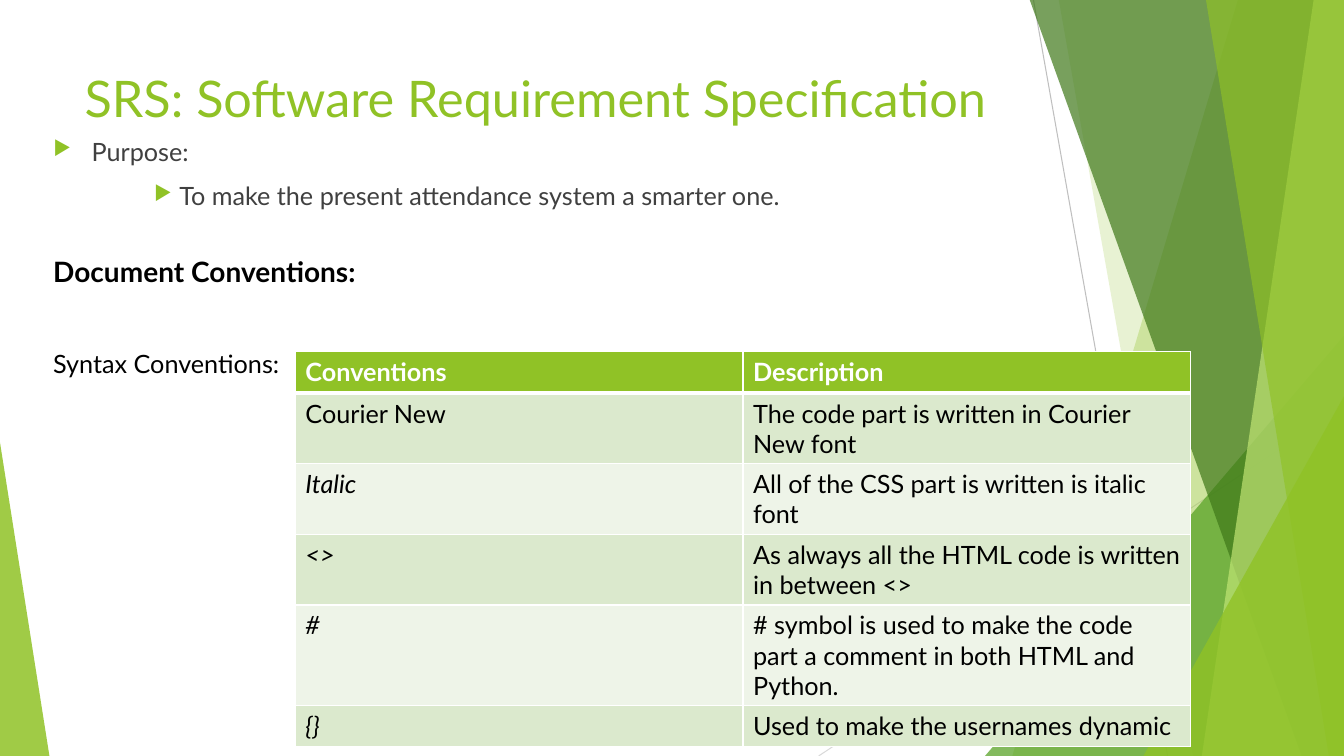
from lxml import etree
from pptx import Presentation
from pptx import util as u
from pptx.dml.color import RGBColor
from pptx.enum import shapes, text
from pptx.oxml.ns import qn

PX = 9144  # EMU per px, 100 px to the inch
WIDTH, HEIGHT = 1333, 750
FONT = "Lato"
GREEN, BLACK, WHITE, GREY = "90C226", "000000", "FFFFFF", "404040"
BANDS = ("DBE9CD", "EEF4E8")

# from x, from y, to x, to y, colour
THIN_LINES = [
    (1025, 0, 1158, 750, "BFBFBF"),
    (1333, 403, 812, 750, "D9D9D9"),
]
# Slanted panels reach the right edge: (top x, bottom x, colour, opacity %)
# Corner triangles: (left, top, width, apex 0 left / 1 right, colour, opacity %)
DECORATION = [
    ("panel", 1228, 1004, GREEN, 30),
    ("panel", 1050, 1183, GREEN, 20),
    ("triangle", 977, 333, 356, 1, "54A021", 72),
    ("panel", 1021, 1291, "3F7819", 70),
    ("panel", 1303, 1192, "C0E474", 70),
    ("panel", 1196, 1318, GREEN, 65),
    ("triangle", 1134, 393, 199, 1, GREEN, 80),
    ("triangle", 0, 439, 49, 0, GREEN, 85),
]

TITLE = "SRS: Software Requirement Specification"
# text, left margin px, hanging indent px
PURPOSE = [
    ("Purpose:", 38, 38),
    ("To make the present attendance system a smarter one.", 125, 25),
]
HEADINGS = ("Document Conventions:", "Syntax Conventions:")

TABLE_LEFT, TABLE_TOP, COLUMN_WIDTH = 293, 349, 444
# row height px, convention, description
CONVENTIONS = [
    (41, "Conventions", "Description"),
    (70, "Courier New", "The code part is written in Courier New font"),
    (70, "Italic", "All of the CSS part is written is italic font"),
    (70, "<>", "As always all the HTML code is written in between <>"),
    (100, "#", "# symbol is used to make the code part a comment in both HTML and Python."),
    (40, "{}", "Used to make the usernames dynamic"),
]


def px(*lengths):
    return [u.Emu(length * PX) for length in lengths]


def rgb(colour):
    return RGBColor.from_string(colour)


def paint(shape, colour, opacity):
    shape.shadow.inherit = False
    shape.line.fill.background()
    shape.fill.solid()
    shape.fill.fore_color.rgb = rgb(colour)
    colour_xml = shape._element.spPr.find(qn("a:solidFill"))[0]
    etree.SubElement(colour_xml, qn("a:alpha"), val=str(opacity * 1000))


def add_panel(slide, top_x, bottom_x, colour, opacity):
    builder = slide.shapes.build_freeform(top_x, -1, scale=PX)
    builder.add_line_segments(
        [(WIDTH, -1), (WIDTH, HEIGHT), (bottom_x, HEIGHT)], close=True)
    paint(builder.convert_to_shape(), colour, opacity)


def add_triangle(slide, left, top, width, apex, colour, opacity):
    triangle = slide.shapes.add_shape(
        shapes.MSO_SHAPE.ISOSCELES_TRIANGLE, *px(left, top, width, HEIGHT - top))
    triangle.adjustments[0] = apex
    paint(triangle, colour, opacity)


def add_thin_line(slide, x1, y1, x2, y2, colour):
    line = slide.shapes.add_connector(
        shapes.MSO_CONNECTOR.STRAIGHT, *px(x1, y1, x2, y2))
    line.line.color.rgb = rgb(colour)
    line.line.width = u.Pt(0.75)
    etree.SubElement(line._element.spPr, qn("a:effectLst"))


def add_frame(slide, left, top, width, height):
    frame = slide.shapes.add_textbox(*px(left, top, width, height)).text_frame
    frame.word_wrap = True
    frame.vertical_anchor = text.MSO_ANCHOR.TOP
    return frame


def write(paragraph, words, size=18, colour=BLACK, bold=False, italic=False, before=0):
    paragraph.space_before = u.Pt(before)
    run = paragraph.add_run()
    run.text = words
    font = run.font
    font.name, font.size = FONT, u.Pt(size)
    font.bold, font.italic = bold, italic
    font.color.rgb = rgb(colour)


def add_bullet(paragraph, margin, hanging):
    properties = paragraph._p.get_or_add_pPr()
    properties.set("marL", str(margin * PX))
    properties.set("indent", str(-hanging * PX))
    colour = etree.SubElement(properties, qn("a:buClr"))
    etree.SubElement(colour, qn("a:srgbClr"), val=GREEN)
    etree.SubElement(properties, qn("a:buSzPct"), val="80000")
    etree.SubElement(properties, qn("a:buChar"), char="▶")


def add_borders(cell, **widths):
    """Draw white borders; widths are points by side: L, R, T, B."""
    properties = cell._tc.get_or_add_tcPr()
    for index, (side, width) in enumerate(widths.items()):
        border = etree.Element(qn(f"a:ln{side}"), w=str(u.Pt(width)))
        fill = etree.SubElement(border, qn("a:solidFill"))
        etree.SubElement(fill, qn("a:srgbClr"), val=WHITE)
        properties.insert(index, border)


def add_conventions_table(slide):
    total = sum(row[0] for row in CONVENTIONS)
    table = slide.shapes.add_table(
        len(CONVENTIONS), 2,
        *px(TABLE_LEFT, TABLE_TOP, 2 * COLUMN_WIDTH, total)).table
    for column in table.columns:
        column.width = px(COLUMN_WIDTH)[0]
    for r, (height, *words) in enumerate(CONVENTIONS):
        table.rows[r].height = px(height)[0]
        header = r == 0
        for c, entry in enumerate(words):
            cell = table.cell(r, c)
            cell.fill.solid()
            cell.fill.fore_color.rgb = rgb(GREEN if header else BANDS[(r - 1) % 2])
            add_borders(cell, L=1, R=1, T=3 if r == 1 else 1, B=3 if header else 1)
            write(cell.text_frame.paragraphs[0], entry, bold=header,
                  colour=WHITE if header else BLACK, italic=c == 0 and r > 1)


def main():
    presentation = Presentation()
    presentation.slide_width, presentation.slide_height = px(WIDTH, HEIGHT)
    slide = presentation.slides.add_slide(presentation.slide_layouts[6])

    for line in THIN_LINES:
        add_thin_line(slide, *line)
    for kind, *values in DECORATION:
        (add_panel if kind == "panel" else add_triangle)(slide, *values)

    title = add_frame(slide, 74, 62, 945, 122)
    write(title.paragraphs[0], TITLE, size=36, colour=GREEN)

    purpose = add_frame(slide, 43, 130, 795, 122)
    for index, (words, margin, hanging) in enumerate(PURPOSE):
        paragraph = purpose.add_paragraph() if index else purpose.paragraphs[0]
        add_bullet(paragraph, margin, hanging)
        write(paragraph, words, colour=GREY, before=10 if index else 0)

    headings = add_frame(slide, 43, 248, 843, 165)
    write(headings.paragraphs[0], HEADINGS[0], size=20, bold=True)
    write(headings.add_paragraph(), HEADINGS[1], before=43)

    add_conventions_table(slide)
    presentation.save("out.pptx")


if __name__ == "__main__":
    main()
